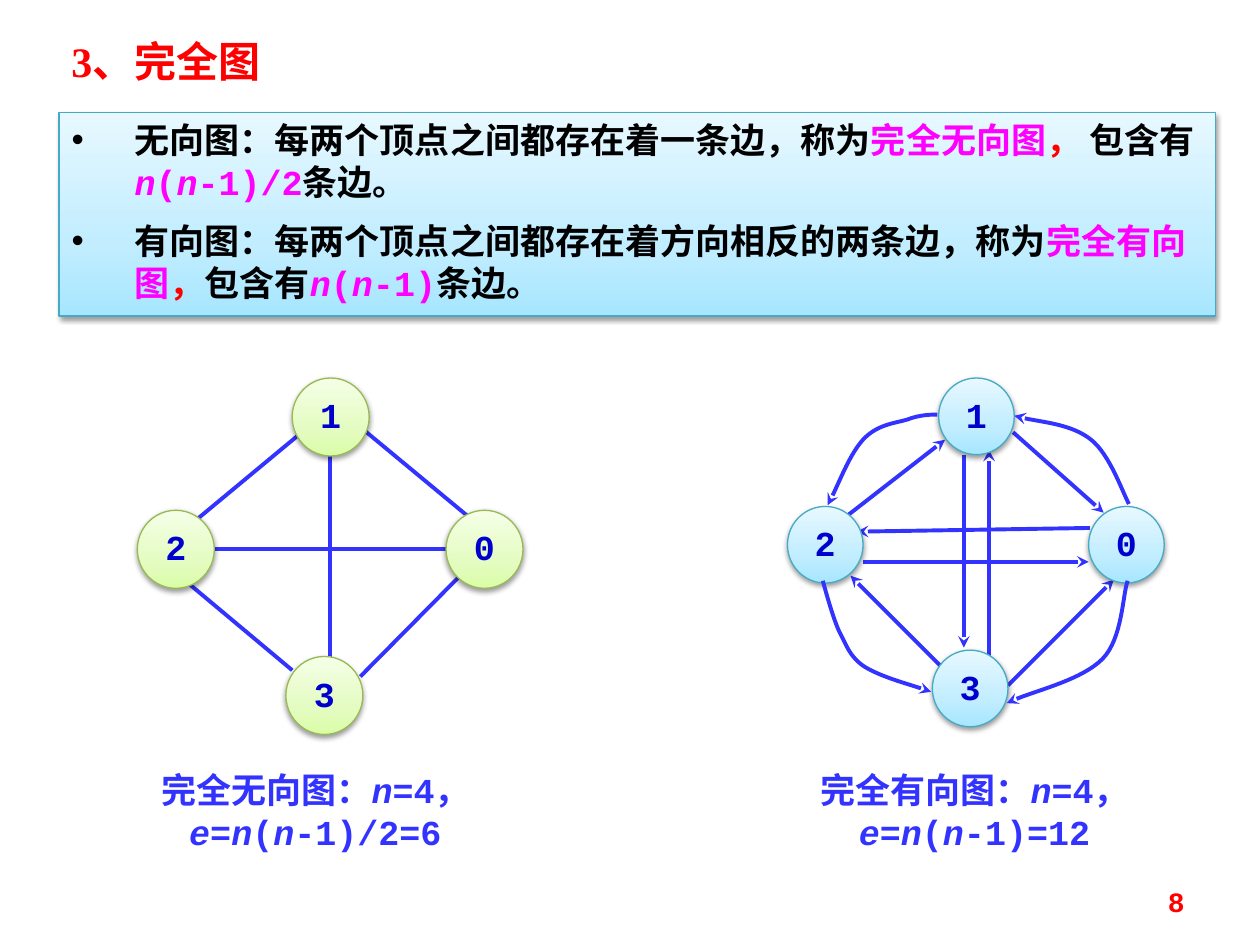
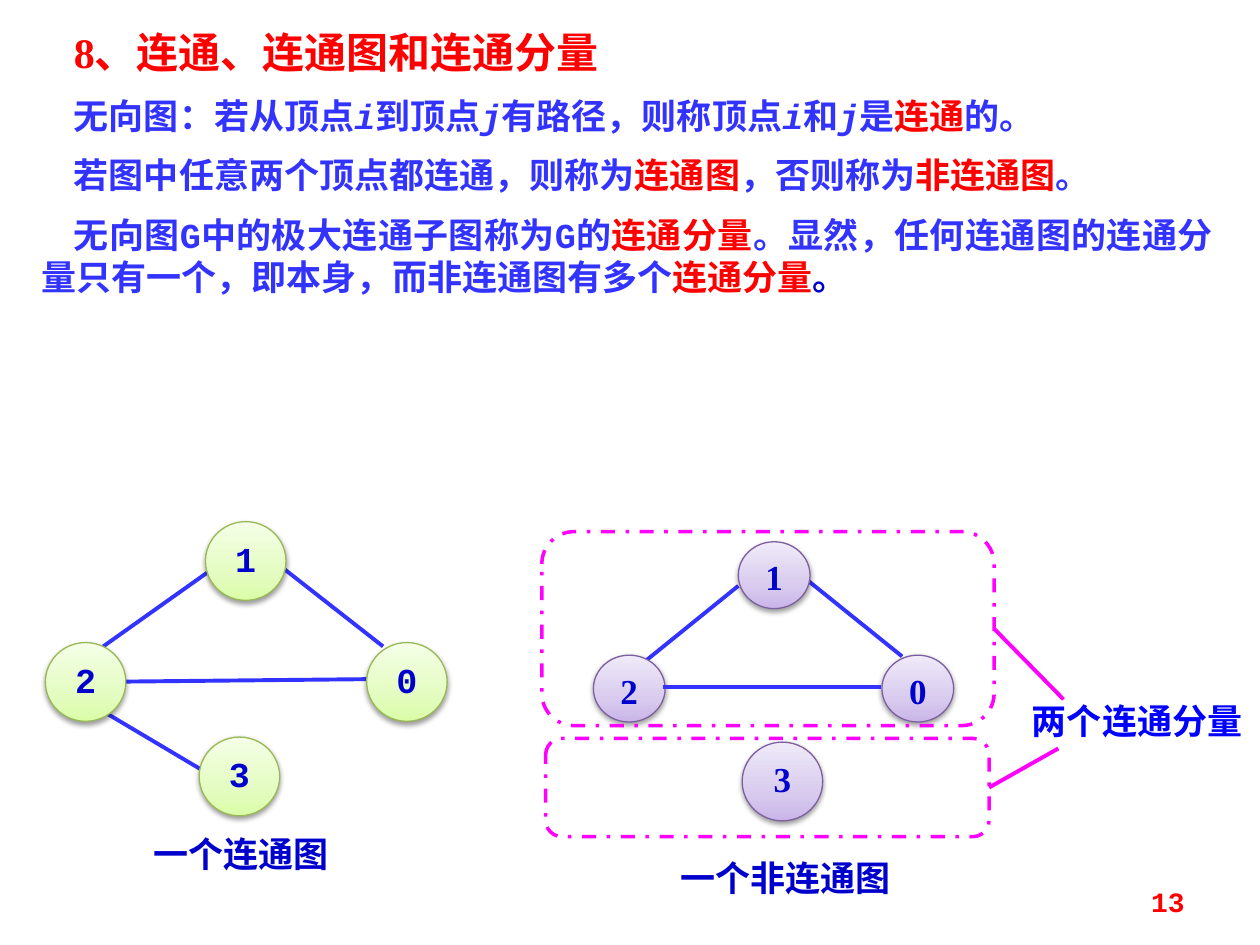
from copy import deepcopy
from itertools import groupby

from lxml import etree
from pptx import Presentation
from pptx import util as u
from pptx.dml.color import RGBColor
from pptx.enum import dml, shapes, text
from pptx.oxml import ns

Pt = u.Pt

RED = RGBColor(0xFF, 0x00, 0x00)
BLUE = RGBColor(0x33, 0x33, 0xFF)
NAVY = RGBColor(0x00, 0x00, 0xCC)
PURE_BLUE = RGBColor(0x00, 0x00, 0xFF)
MAGENTA = RGBColor(0xFF, 0x00, 0xFF)
BLACK = RGBColor(0x00, 0x00, 0x00)

# Each palette: outline, then gradient colours from bottom to top
CYAN_PALETTE = [RGBColor.from_string(c) for c in ("46AAC5", "A7E6FF", "C1EDFF", "E7F8FF")]
GREEN_PALETTE = [RGBColor.from_string(c) for c in ("98B955", "DAFDA7", "E4FCC2", "F5FFE7")]
PURPLE_PALETTE = [RGBColor.from_string(c) for c in ("7D60A0", "C9B5E8", "D8CBEE", "F0EAF9")]
GRADIENT_POSITIONS = (0, 0.35, 1)

BODY_FONT = {"name": "Courier New", "size": Pt(20), "bold": True}
SERIF_FONT = {**BODY_FONT, "name": "Times New Roman"}
TITLE_FONT = {**SERIF_FONT, "size": Pt(24)}
NUMBER_FONT = {**BODY_FONT, "size": Pt(16)}

CENTER = {"alignment": text.PP_ALIGN.CENTER}
VARIABLES = "neij"
PARAGRAPH_GAP = Pt(10)


def apply_format(target, values):
    for name, value in values.items():
        setattr(target, name, value)


def points(values):
    return [Pt(value) for value in values]


def add_xml(parent, tag, **attributes):
    return etree.SubElement(parent, ns.qn(tag), attributes)


def write_paragraph(paragraph, runs, font, layout):
    """Write (text, colour) runs, with the variables in italics."""
    apply_format(paragraph, layout)
    for content, color in runs:
        for italic, letters in groupby(content, lambda letter: letter in VARIABLES):
            run = paragraph.add_run()
            run.text = "".join(letters)
            apply_format(run.font, {**font, "italic": italic})
            run.font.color.rgb = color


def write_paragraphs(frame, paragraphs, font=BODY_FONT, layout={}):
    for index, runs in enumerate(paragraphs):
        paragraph = frame.add_paragraph() if index else frame.paragraphs[0]
        write_paragraph(paragraph, runs, font, layout)


def add_text(slide, box, paragraphs, font=BODY_FONT, layout={}, anchor=text.MSO_ANCHOR.TOP):
    frame = slide.shapes.add_textbox(*points(box)).text_frame
    apply_format(frame, {"word_wrap": True, "vertical_anchor": anchor})
    write_paragraphs(frame, paragraphs, font, layout)
    return frame


def add_page_number(slide, number):
    add_text(slide, (516.2, 500.4, 167.8, 28.8), [[(number, RED)]], NUMBER_FONT,
             {"alignment": text.PP_ALIGN.RIGHT}, text.MSO_ANCHOR.MIDDLE)


def add_gradient_shape(slide, kind, box, palette):
    """Add a shape with a vertical gradient, thin outline and soft shadow."""
    shape = slide.shapes.add_shape(kind, *points(box))
    outline, *colors = palette
    shape.line.color.rgb = outline
    shape.line.width = Pt(0.75)
    shape.fill.gradient()
    shape.fill.gradient_angle = 90
    properties = shape._element.spPr
    stop_list = properties.find(".//" + ns.qn("a:gsLst"))
    stop_list.append(deepcopy(stop_list[0]))
    for stop, position, color in zip(shape.fill.gradient_stops, GRADIENT_POSITIONS, colors):
        stop.position = position
        stop.color.rgb = color
    shape.shadow.inherit = False
    shadow = add_xml(properties.find(ns.qn("a:effectLst")), "a:outerShdw",
                     blurRad=str(Pt(3.1)), dist=str(Pt(1.6)), dir="5400000", rotWithShape="0")
    add_xml(add_xml(shadow, "a:srgbClr", val="000000"), "a:alpha", val="38000")
    shape.text_frame.word_wrap = True
    shape.text_frame.vertical_anchor = text.MSO_ANCHOR.TOP
    return shape


def add_nodes(slide, centers, size, palette, font=BODY_FONT):
    """Add numbered vertices, given as label: (left, top)."""
    for label, corner in centers.items():
        node = add_gradient_shape(slide, shapes.MSO_SHAPE.OVAL, (*corner, *size), palette)
        apply_format(node.text_frame, {"margin_left": 0, "margin_top": Pt(8.6),
                                       "margin_right": 0, "margin_bottom": 0})
        write_paragraphs(node.text_frame, [[(label, NAVY)]], font,
                         {**CENTER, "line_spacing": 0.72})


def style_edge(edge, color=BLUE, arrow=False):
    edge.line.color.rgb = color
    edge.line.width = Pt(2.25)
    if arrow:
        add_xml(edge.line._get_or_add_ln(), "a:tailEnd", type="stealth")


def add_edges(slide, edges, color=BLUE, arrow=False):
    """Draw straight lines, given as (x1, y1, x2, y2)."""
    for ends in edges:
        edge = slide.shapes.add_connector(shapes.MSO_CONNECTOR.STRAIGHT, *points(ends))
        style_edge(edge, color, arrow)
        add_xml(edge._element.spPr, "a:effectLst")


def add_curved_arrow(slide, nodes):
    """Draw cubic curves through a start point and groups of three points."""
    start, *controls = [points(node) for node in nodes]
    builder = slide.shapes.build_freeform(*start)
    builder.add_line_segments(controls, close=False)
    curve = builder.convert_to_shape()
    outline = curve._element.spPr.find(".//" + ns.qn("a:path"))
    segments = outline.findall(ns.qn("a:lnTo"))
    for first in range(0, len(segments), 3):
        bezier = add_xml(outline, "a:cubicBezTo")
        for segment in segments[first:first + 3]:
            bezier.append(segment[0])
            outline.remove(segment)
    curve.fill.background()
    style_edge(curve, arrow=True)
    curve.shadow.inherit = False


def add_component_frame(slide, box):
    frame = slide.shapes.add_shape(shapes.MSO_SHAPE.ROUNDED_RECTANGLE, *points(box))
    frame.fill.background()
    frame.line.color.rgb = MAGENTA
    apply_format(frame.line, {"width": Pt(2), "dash_style": dml.MSO_LINE.DASH_DOT})
    frame.shadow.inherit = False


def add_definition_panel(slide, box, definitions):
    panel = add_gradient_shape(slide, shapes.MSO_SHAPE.RECTANGLE, box, CYAN_PALETTE)
    write_paragraphs(panel.text_frame, definitions, layout={"alignment": text.PP_ALIGN.LEFT})
    for index, paragraph in enumerate(panel.text_frame.paragraphs):
        if index:
            paragraph.space_before = PARAGRAPH_GAP
        properties = paragraph._p.get_or_add_pPr()
        properties.set("marL", str(Pt(36)))
        properties.set("indent", str(-Pt(36)))
        add_xml(properties, "a:buFont", typeface="Arial")
        add_xml(properties, "a:buChar", char="•")


def build_complete_graphs(slide):
    add_definition_panel(slide, (33.8, 64.1, 661, 116.6), [
        [("无向图：每两个顶点之间都存在着一条边，称为", BLACK), ("完全无向图", MAGENTA),
         ("， ", RED), ("包含有", BLACK), ("n(n-1)/2", MAGENTA), ("条边。", BLACK)],
        [("有向图：每两个顶点之间都存在着方向相反的两条边，称为", BLACK),
         ("完全有向图", MAGENTA), ("，", RED), ("包含有", BLACK),
         ("n(n-1)", MAGENTA), ("条边。", BLACK)],
    ])

    add_edges(slide, [
        (173.5, 246.2, 105.8, 302.4), (100.8, 327.6, 167, 383),
        (205.9, 386.6, 265, 326.9), (201.6, 240.5, 269.3, 296.6),
        (100.8, 313.9, 277.2, 313.9), (188.6, 259.9, 188.6, 394.6),
    ])
    add_nodes(slide, {"1": (167, 216), "0": (254.9, 291.6),
                      "2": (78.5, 291.6), "3": (163.4, 375.1)}, (44, 44.6), GREEN_PALETTE)

    add_edges(slide, [
        (550.8, 259.9, 550.8, 370.1), (565.2, 388.8, 565.2, 257),
        (622.8, 301.7, 489.6, 303.8), (493.2, 321.1, 622.1, 321.1),
        (548.6, 391.7, 486, 329), (576, 391.7, 636.5, 331.2),
        (578.9, 247, 630.7, 293), (481.7, 296.6, 540, 251.3),
    ], arrow=True)
    add_nodes(slide, {"1": (536.4, 216), "0": (622.1, 289.4),
                      "2": (450, 289.4), "3": (532.8, 371.5)}, (43.2, 43.8), CYAN_PALETTE)
    for curve in (
        [(644.4, 331.9), (641.5, 339.8), (641.5, 365), (630, 376.6),
         (618.5, 388.1), (586.8, 396), (575.3, 401.8)],
        [(535.7, 236.9), (532.8, 236.9), (525.6, 236.9), (518.4, 239.8),
         (511.2, 241.9), (501.1, 242.6), (493.2, 251.3),
         (486, 259.2), (477.4, 280.8), (473, 288.7)],
        [(470.2, 331.9), (471.6, 337), (475.9, 352.8), (479.5, 360.7),
         (483.8, 368.6), (485.3, 375.1), (493.9, 380.9),
         (503.3, 386.6), (524.2, 392.4), (532.1, 395.3)],
        [(645.1, 288), (641.5, 281.5), (634.3, 259.9), (623.5, 251.3),
         (612.7, 242.6), (589, 240.5), (579.6, 237.6)],
    ):
        add_curved_arrow(slide, curve)

    for left, name, edge_count in ((73.4, "完全无向图：", "e=n(n-1)/2=6"),
                                   (450, "完全有向图：", "e=n(n-1)=12")):
        add_text(slide, (left, 435.6, 213.8, 55.7),
                 [[(name + "n=4，", BLUE)], [(edge_count, BLUE)]], layout=CENTER)
    add_text(slide, (33.8, 16.6, 168.5, 36), [[("3、完全图", RED)]], TITLE_FONT)
    add_page_number(slide, "8")


def build_connectivity(slide):
    justified = {"alignment": text.PP_ALIGN.JUSTIFY}
    frame = add_text(slide, (16.6, 11.5, 683.3, 169.9),
                     [[("8、连通、连通图和连通分量", RED)]], TITLE_FONT, justified)
    for runs in (
        [("无向图：若从顶点i到顶点j有路径，则称顶点i和j是", BLUE), ("连通", RED), ("的。", BLUE)],
        [("若图中任意两个顶点都连通，则称为", BLUE), ("连通图", RED),
         ("，否则称为", BLUE), ("非连通图", RED), ("。", BLUE)],
        [("无向图G中的极大连通子图称为G的", BLUE), ("连通分量", RED),
         ("。显然，任何连通图的连通分量只有一个，即本身，而非连通图有多个", BLUE),
         ("连通分量", RED), ("。", NAVY)],
    ):
        write_paragraph(frame.add_paragraph(), runs, BODY_FONT,
                        {**justified, "space_before": PARAGRAPH_GAP})
    for paragraph in frame.paragraphs:
        paragraph._p.get_or_add_pPr().set("indent", str(Pt(18.5)))

    add_edges(slide, [
        (59, 369.4, 121, 325.4), (58.3, 406.1, 115.2, 439.9),
        (209.5, 388.1, 72, 389.5), (162.7, 325.4, 218.9, 369.4),
    ])
    add_nodes(slide, {"1": (117.4, 298.1), "0": (209.5, 367.2),
                      "2": (25.9, 367.2), "3": (113.8, 421.2)}, (46, 45), GREEN_PALETTE)

    add_edges(slide, [(515.5, 375.1, 460.1, 330.5), (421.9, 334.8, 365.8, 380.2)])
    add_nodes(slide, {"1": (421.9, 309.6), "0": (504, 374.4), "2": (339.1, 374.4)},
              (41, 38.2), PURPLE_PALETTE, SERIF_FONT)
    add_edges(slide, [(378.7, 392.4, 503.3, 392.4)])
    add_nodes(slide, {"3": (424.1, 424.1)}, (46, 45), PURPLE_PALETTE, SERIF_FONT)

    for left, top, caption, color, font in (
        (67.7, 472.3, "一个连通图", NAVY, BODY_FONT),
        (378.7, 486, "一个非连通图", NAVY, SERIF_FONT),
        (579.6, 396, "两个连通分量", PURE_BLUE, BODY_FONT),
    ):
        add_text(slide, (left, top, 140.4, 31.5), [[(caption, color)]], font, CENTER)
    for box in ((309.6, 303.8, 258.5, 110.9), (311.8, 421.9, 253.4, 56.2)):
        add_component_frame(slide, box)
    add_edges(slide, [(568.1, 359.3, 607.7, 399.6), (565.2, 450, 604.8, 427.7)], MAGENTA)
    add_page_number(slide, "13")


def main():
    presentation = Presentation()
    apply_format(presentation, {"slide_width": Pt(720), "slide_height": Pt(540)})
    blank = presentation.slide_layouts[6]
    for build in (build_complete_graphs, build_connectivity):
        build(presentation.slides.add_slide(blank))
    presentation.save("out.pptx")


if __name__ == "__main__":
    main()
